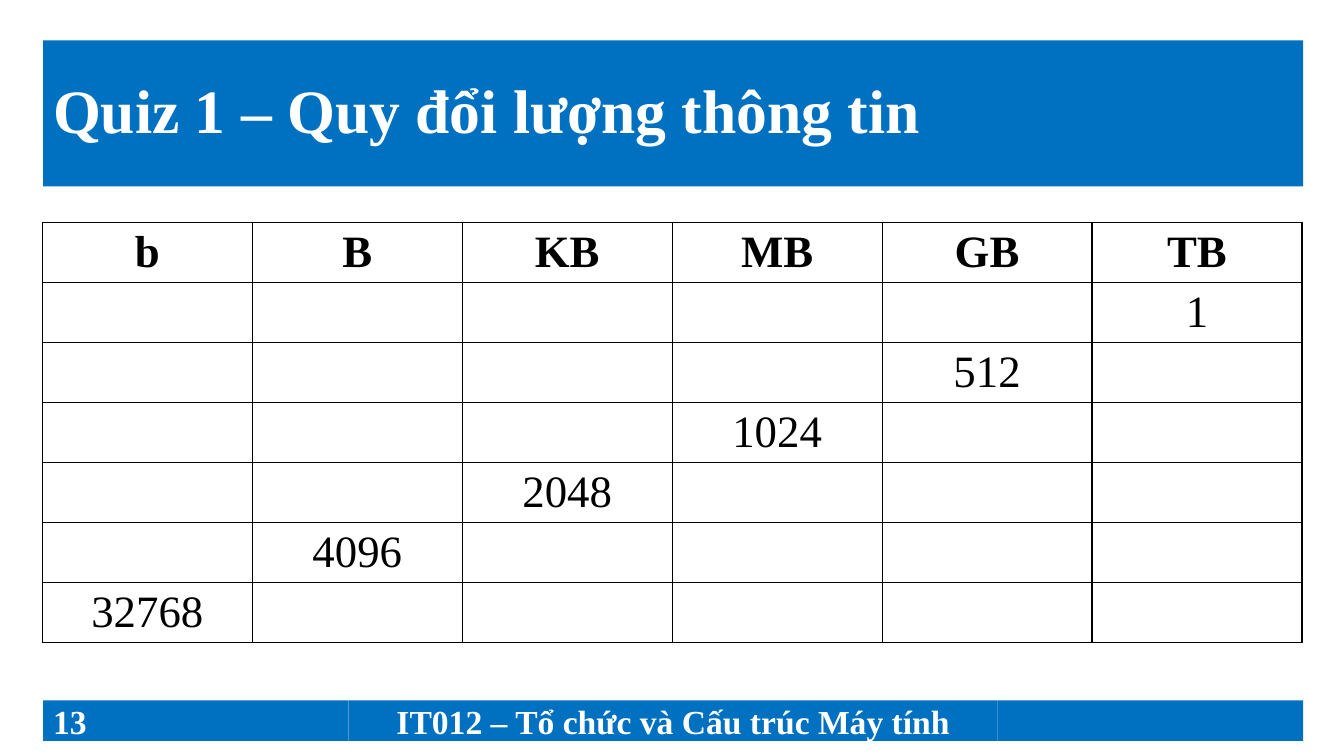
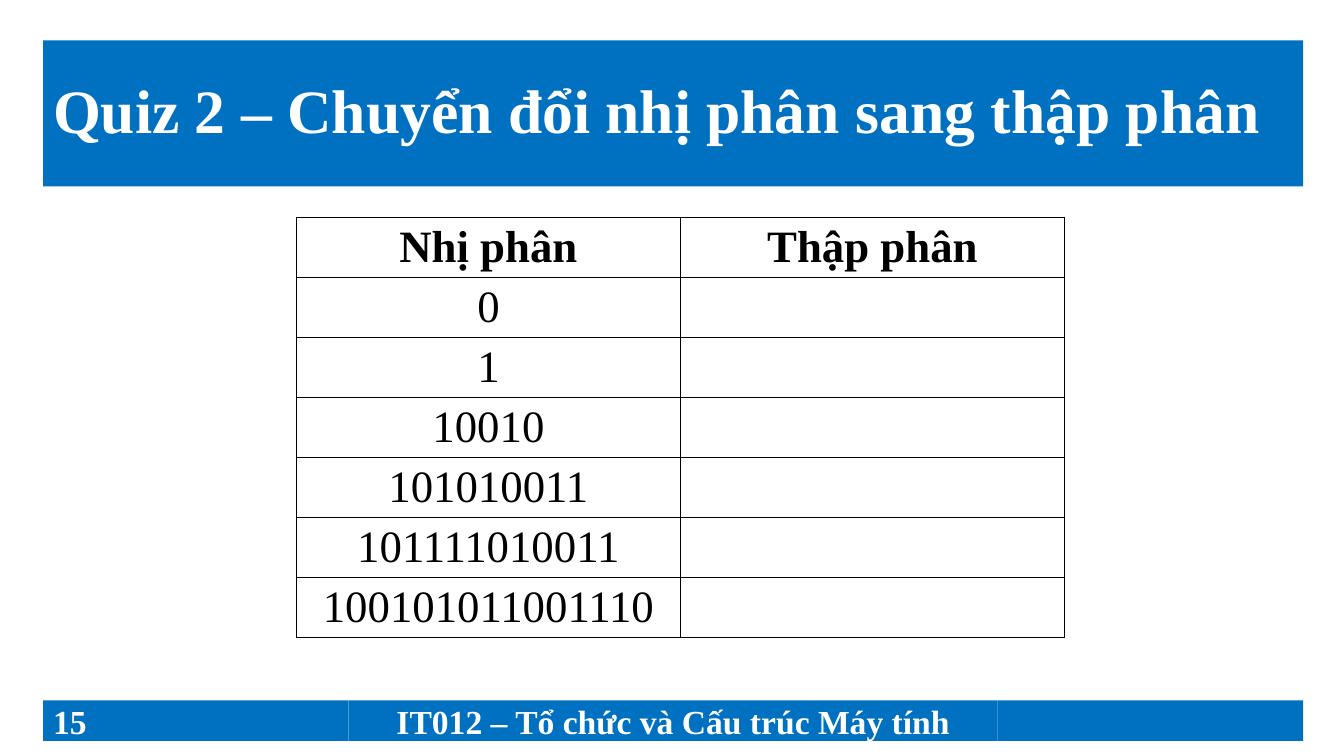
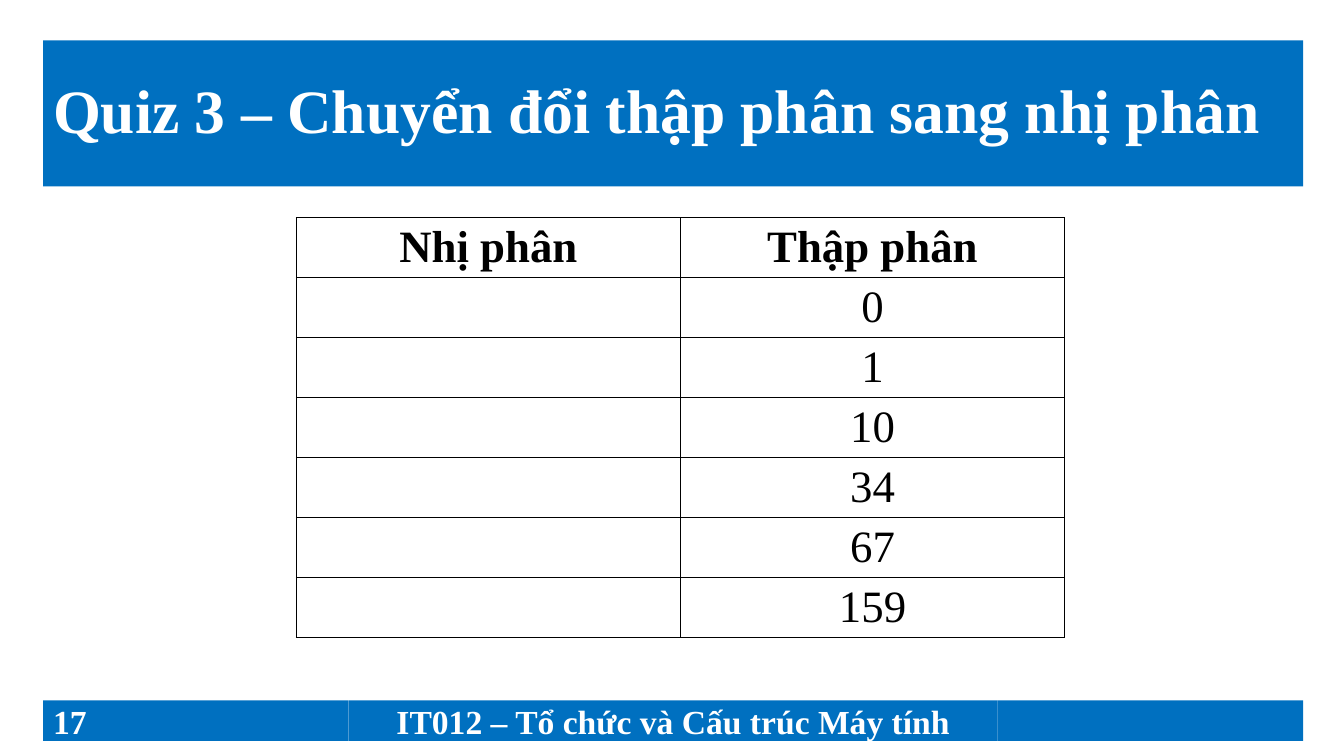
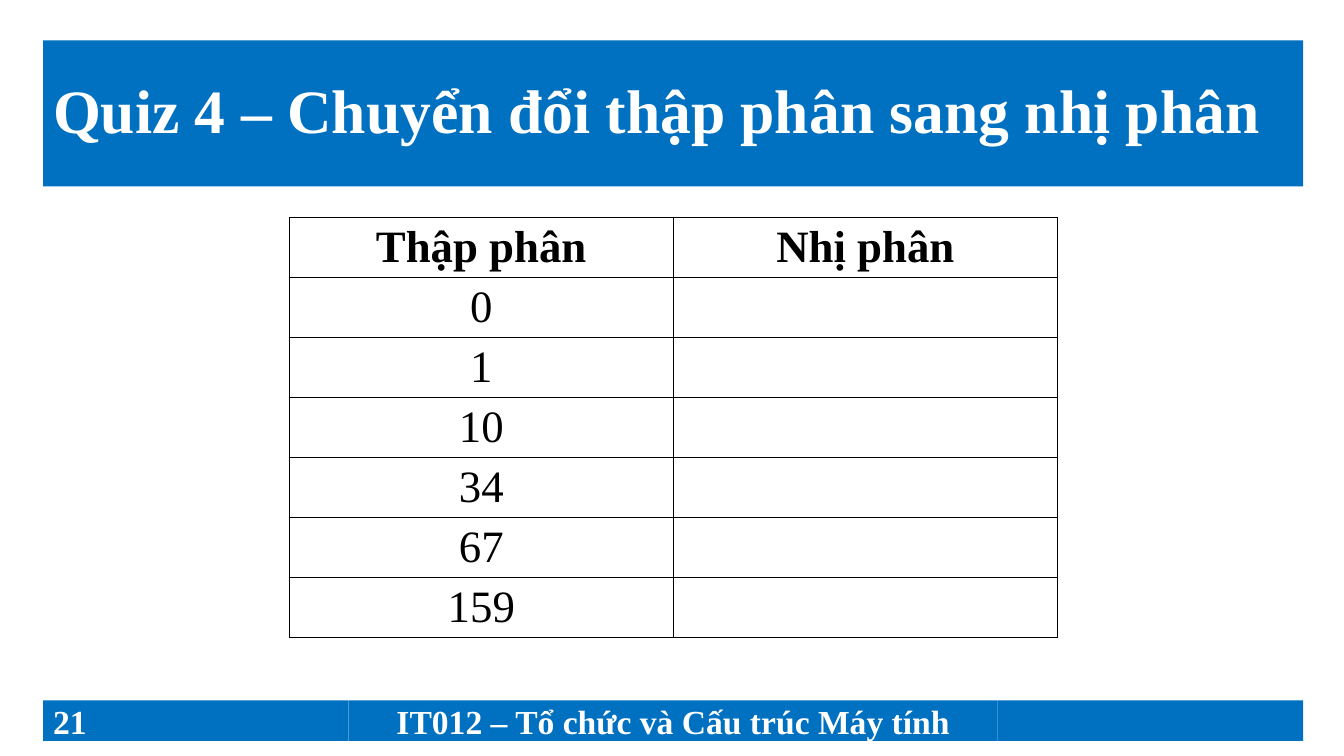
from dataclasses import dataclass

from pptx import Presentation
from pptx.dml.color import RGBColor as RGB
from pptx.enum.shapes import MSO_SHAPE as Geo
from pptx.enum.text import MSO_ANCHOR as Anchor, PP_ALIGN as Align
from pptx.oxml import parse_xml
from pptx.oxml.ns import nsdecls
from pptx.util import Cm, Pt

# Content
COURSE = "IT012 – Tổ chức và Cấu trúc Máy tính"
BIN, DEC = "Nhị phân", "Thập phân"
NUMS = ["0", "1", "10", "34", "67", "159"]
BITS = ["0", "1", "10010", "101010011", "101111010011", "100101011001110"]
UNITS = [
    ["b", "B", "KB", "MB", "GB", "TB"],
    ["", "", "", "", "", "1"],
    ["", "", "", "", "512", ""],
    ["", "", "", "1024", "", ""],
    ["", "", "2048", "", "", ""],
    ["", "4096", "", "", "", ""],
    ["32768", "", "", "", "", ""],
]

# Slide number, title, table left, top and column width in cm, table rows
QUIZZES = [
    ("13", "Quiz 1 – Quy đổi lượng thông tin", (1.07, 5.61, 5.29), UNITS),
    ("15", "Quiz 2 – Chuyển đổi nhị phân sang thập phân", (7.47, 5.49, 9.68),
     [[BIN, DEC]] + [[bits, ""] for bits in BITS]),
    ("17", "Quiz 3 – Chuyển đổi thập phân sang nhị phân", (7.47, 5.49, 9.68),
     [[BIN, DEC]] + [["", num] for num in NUMS]),
    ("21", "Quiz 4 – Chuyển đổi thập phân sang nhị phân", (7.29, 5.49, 9.68),
     [[DEC, BIN]] + [[num, ""] for num in NUMS]),
]


# Theme
@dataclass(frozen=True)
class Theme:
    font: str = "Times New Roman"
    blue: str = "0070C0"
    white: str = "FFFFFF"
    black: str = "000000"
    title: int = 44
    cell: int = 32
    foot: int = 24
    rule: int = 1


T = Theme()

# Layout in cm
LEFT, WIDE = 1.09, 31.75
HEAD_TOP, HEAD_TALL = 1.02, 3.68
FOOT_TOP, FOOT_TALL = 17.65, 1.02
SIDE = 7.7
ROW = 1.51


def style(para, text, size, color, bold=True, align=Align.LEFT):
    para.alignment = align
    run = para.add_run()
    run.text = text
    form = {"name": T.font, "size": Pt(size), "bold": bold}
    for key, val in form.items():
        setattr(run.font, key, val)
    run.font.color.rgb = RGB.from_string(color)


def band(slide, box, text="", size=T.foot, align=Align.LEFT):
    shape = slide.shapes.add_shape(Geo.RECTANGLE, *map(Cm, box))
    shape.shadow.inherit = False
    shape.fill.solid()
    shape.fill.fore_color.rgb = RGB.from_string(T.blue)
    shape.line.fill.background()
    frame = shape.text_frame
    form = {"word_wrap": True, "vertical_anchor": Anchor.MIDDLE,
            "margin_top": 0, "margin_bottom": 0}
    for key, val in form.items():
        setattr(frame, key, val)
    if text:
        style(frame.paragraphs[0], text, size, T.white, align=align)
    return shape


def border(cell):
    props = cell._tc.get_or_add_tcPr()
    for at, side in enumerate(("lnL", "lnR", "lnT", "lnB")):
        props.insert(at, parse_xml(
            f'<a:{side} {nsdecls("a")} w="{Pt(T.rule)}"><a:solidFill>'
            f'<a:srgbClr val="{T.black}"/></a:solidFill></a:{side}>'))


def grid(slide, place, rows):
    left, top, width = place
    count = len(rows[0])
    table = slide.shapes.add_table(
        len(rows), count, Cm(left), Cm(top),
        Cm(width * count), Cm(ROW * len(rows))).table
    for flag in ("first_row", "horz_banding"):
        setattr(table, flag, False)
    for col in table.columns:
        col.width = Cm(width)
    form = {"vertical_anchor": Anchor.MIDDLE,
            "margin_top": 0, "margin_bottom": 0}
    for r, row in enumerate(rows):
        table.rows[r].height = Cm(ROW)
        for c, text in enumerate(row):
            cell = table.cell(r, c)
            for key, val in form.items():
                setattr(cell, key, val)
            cell.fill.background()
            border(cell)
            if text:
                style(cell.text_frame.paragraphs[0], text, T.cell, T.black,
                      bold=r == 0, align=Align.CENTER)


def frame(slide, num, title):
    # Footer: number, course, empty end
    mid = WIDE - 2 * SIDE
    left = LEFT
    for width, text, align in ((SIDE, num, Align.LEFT),
                               (mid, COURSE, Align.CENTER),
                               (SIDE, "", Align.LEFT)):
        band(slide, (left, FOOT_TOP, width, FOOT_TALL), text, align=align)
        left += width
    # Title
    head = band(slide, (LEFT, HEAD_TOP, WIDE, HEAD_TALL), title, T.title)
    head.text_frame.paragraphs[0].line_spacing = 0.9


def main():
    deck = Presentation()
    deck.slide_width, deck.slide_height = Cm(33.87), Cm(19.05)
    for num, title, place, rows in QUIZZES:
        slide = deck.slides.add_slide(deck.slide_layouts[6])
        frame(slide, num, title)
        grid(slide, place, rows)
    deck.save("out.pptx")


if __name__ == "__main__":
    main()
